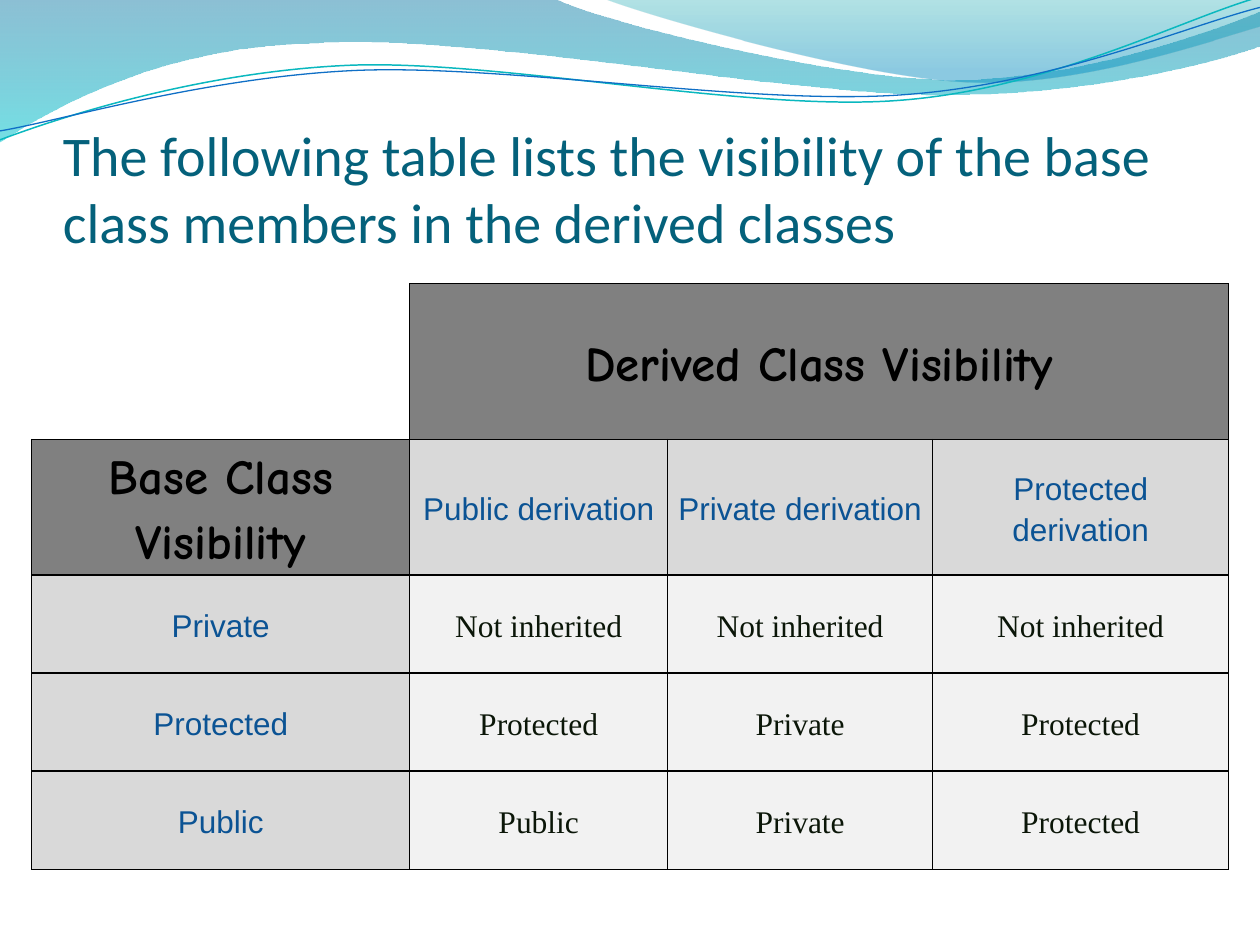
import pptx
import pptx.dml.color
import pptx.enum.text
import pptx.oxml
import pptx.oxml.ns
import pptx.util
from pptx.util import Cm

THEME = {
    "title": {"font": "Calibri", "size": 32, "color": "04617B"},
    "heading": {"font": "Comic Neue", "size": 28, "color": "000000", "bold": True, "fill": "808080"},
    "label": {"font": "Arial", "size": 18, "color": "0B5394", "fill": "D9D9D9"},
    "value": {"font": "Times New Roman", "size": 18, "color": "0B1608", "fill": "F2F2F2"},
    "border": "000000",
}

TITLE = "The following table lists the visibility of the base class members in the derived classes"
ROWS = [
    ["", "Derived Class Visibility", "", ""],
    ["Base Class Visibility", "Public derivation", "Private derivation", "Protected derivation"],
    ["Private", "Not inherited", "Not inherited", "Not inherited"],
    ["Protected", "Protected", "Private", "Protected"],
    ["Public", "Public", "Private", "Protected"],
]
COLUMN_WIDTHS = [7.62, 5.2, 5.34, 5.97]
ROW_HEIGHTS = [3.14, 2.62, 1.98, 1.98, 1.98]
TABLE_HEIGHT = 11.79

# Outlines in cm: one point is a straight step, three points are a Bézier step.
# Gradient stops are position, colour and opacity in percent.
BANDS = [
    {"stops": [(0, "0074A1", 45), (1, "00C6CF", 55)],
     "outline": [
         [(0, 0)], [(11.18, -0.03)],
         [(12.09, 0.43), (16.87, 1.6), (19.25, 1.6)],
         [(21.67, 1.6), (24.33, 0.66), (25.4, 0.23)],
         [(25.43, 0.91)],
         [(24.97, 1.12), (22.1, 1.93), (18.95, 1.91)],
         [(15.8, 1.91), (9.7, 0.71), (6.53, 0.86)],
         [(3.28, 0.91), (1.17, 2.11), (-0.03, 2.87)]]},
    {"stops": [(0, "00A1A9", 30), (0.8, "008BBF", 45)],
     "outline": [
         [(12.17, -0.03)],
         [(12.93, 0.28), (17.32, 1.57), (19.53, 1.65)],
         [(21.74, 1.75), (24.41, 0.81), (25.4, 0.53)],
         [(25.4, 0)]]},
]
WAVE_ROTATION = 357.3
WAVES = [
    {"color": "0AB8BF", "width": 0.85,
     "outline": [
         [(-0.05, 2.22)],
         [(1.19, 1.82), (4.02, 1.04), (7.05, 1.05)],
         [(10.05, 1.07), (15.02, 2.37), (18.08, 2.28)],
         [(21.13, 2.2), (23.87, 0.91), (25.41, 0.55)]]},
    {"color": "0F6FC6", "width": 0.75,
     "outline": [
         [(-0.04, 2.04)],
         [(1.16, 1.9), (4.18, 1.15), (7.2, 1.16)],
         [(10.25, 1.18), (15.13, 2.25), (18.18, 2.17)],
         [(21.21, 2.1), (23.93, 1.06), (25.45, 0.75)]]},
]


def rgb(value):
    return pptx.dml.color.RGBColor.from_string(value)


def add_outline(shapes, outline, close):
    """Build a freeform through all points, then join each Bézier step into one curve."""
    points = [(Cm(x), Cm(y)) for step in outline for x, y in step]
    builder = shapes.build_freeform(*points[0])
    builder.add_line_segments(points[1:], close=close)
    shape = builder.convert_to_shape()
    shape.shadow.inherit = False
    segments = iter(shape.element.findall(".//" + pptx.oxml.ns.qn("a:lnTo")))
    for step in outline[1:]:
        lines = [next(segments) for _ in step]
        if len(step) == 3:
            curve = pptx.oxml.parse_xml(f'<a:cubicBezTo {pptx.oxml.ns.nsdecls("a")}/>')
            lines[0].addprevious(curve)
            for line in lines:
                curve.append(line[0])
                line.getparent().remove(line)
    return shape


def add_band(shapes, band):
    shape = add_outline(shapes, band["outline"], close=True)
    shape.line.fill.background()
    shape.fill.gradient()
    shape.fill.gradient_angle = 270
    for stop, (position, color, _) in zip(shape.fill.gradient_stops, band["stops"]):
        stop.position = position
        stop.color.rgb = rgb(color)
    colors = shape.element.spPr.findall(".//" + pptx.oxml.ns.qn("a:srgbClr"))
    for color, (_, _, opacity) in zip(colors, band["stops"]):
        color.append(pptx.oxml.parse_xml(
            f'<a:alpha {pptx.oxml.ns.nsdecls("a")} val="{opacity * 1000}"/>'))


def add_wave(shapes, wave):
    shape = add_outline(shapes, wave["outline"], close=False)
    shape.rotation = WAVE_ROTATION
    shape.fill.background()
    shape.line.color.rgb = rgb(wave["color"])
    shape.line.width = pptx.util.Pt(wave["width"])


def write(text_frame, text, style):
    text_frame.word_wrap = True
    paragraph = text_frame.paragraphs[0]
    paragraph.text = text
    paragraph.font.name = style["font"]
    paragraph.font.size = pptx.util.Pt(style["size"])
    paragraph.font.bold = style.get("bold", False)
    paragraph.font.color.rgb = rgb(style["color"])
    return paragraph


def add_title(slide):
    box = slide.shapes.add_textbox(Cm(1.27), Cm(1.96), Cm(22.86), Cm(3.18))
    frame = box.text_frame
    frame.margin_left = frame.margin_right = frame.margin_bottom = 0
    frame.vertical_anchor = pptx.enum.text.MSO_ANCHOR.BOTTOM
    write(frame, TITLE, THEME["title"])


def set_borders(cell, visible_sides):
    for side in "LRTB":
        paint = (f'<a:solidFill><a:srgbClr val="{THEME["border"]}"/></a:solidFill>'
                 if side in visible_sides else "<a:noFill/>")
        border = pptx.oxml.parse_xml(
            f'<a:ln{side} {pptx.oxml.ns.nsdecls("a")} w="12700">{paint}</a:ln{side}>')
        cell._tc.get_or_add_tcPr().append(border)


def cell_style(row, column):
    if row == 0 or (row, column) == (1, 0):
        return THEME["heading"]
    return THEME["label"] if row == 1 or column == 0 else THEME["value"]


def fill_cell(cell, row, column):
    if (row, column) == (0, 0):
        set_borders(cell, "RB")
        cell.fill.background()
        return
    style = cell_style(row, column)
    set_borders(cell, "LRTB")
    cell.fill.solid()
    cell.fill.fore_color.rgb = rgb(style["fill"])
    cell.margin_left = cell.margin_right = Cm(0.18)
    cell.margin_top = cell.margin_bottom = 0
    cell.vertical_anchor = pptx.enum.text.MSO_ANCHOR.MIDDLE
    if ROWS[row][column]:
        paragraph = write(cell.text_frame, ROWS[row][column], style)
        paragraph.alignment = pptx.enum.text.PP_ALIGN.CENTER
        paragraph.line_spacing = 1.15


def add_visibility_table(slide):
    frame = slide.shapes.add_table(
        len(ROWS), len(COLUMN_WIDTHS), Cm(0.64), Cm(5.72),
        Cm(sum(COLUMN_WIDTHS)), Cm(TABLE_HEIGHT))
    table = frame.table
    table.first_row = table.horz_banding = False
    for column, width in zip(table.columns, COLUMN_WIDTHS):
        column.width = Cm(width)
    for row, height in zip(table.rows, ROW_HEIGHTS):
        row.height = Cm(height)
    frame.height = Cm(TABLE_HEIGHT)
    table.cell(0, 1).merge(table.cell(0, 3))
    for row in range(len(ROWS)):
        for column in range(len(COLUMN_WIDTHS)):
            fill_cell(table.cell(row, column), row, column)


def main():
    presentation = pptx.Presentation()
    presentation.slide_width, presentation.slide_height = Cm(25.4), Cm(19.05)
    slide = presentation.slides.add_slide(presentation.slide_layouts[6])
    for band in BANDS:
        add_band(slide.shapes, band)
    wave_group = slide.shapes.add_group_shape()
    for wave in WAVES:
        add_wave(wave_group.shapes, wave)
    add_title(slide)
    add_visibility_table(slide)
    presentation.save("out.pptx")


if __name__ == "__main__":
    main()
